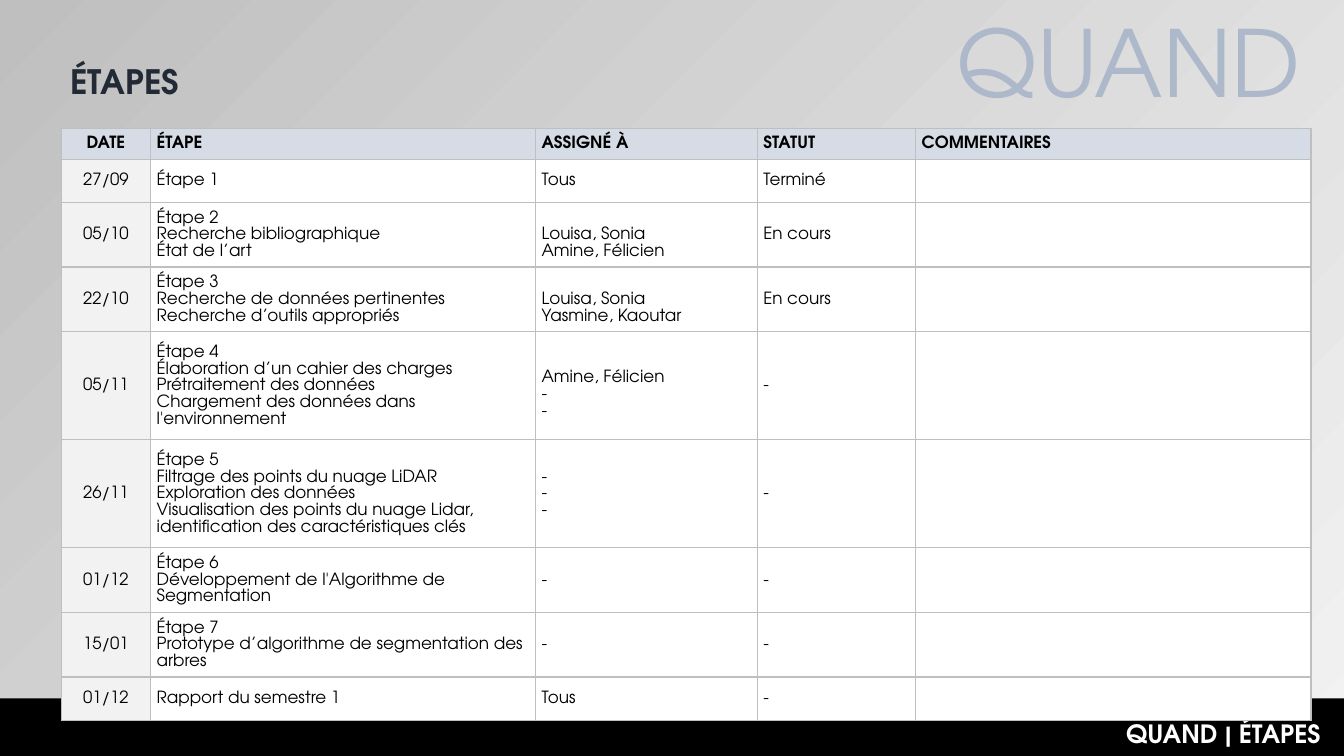
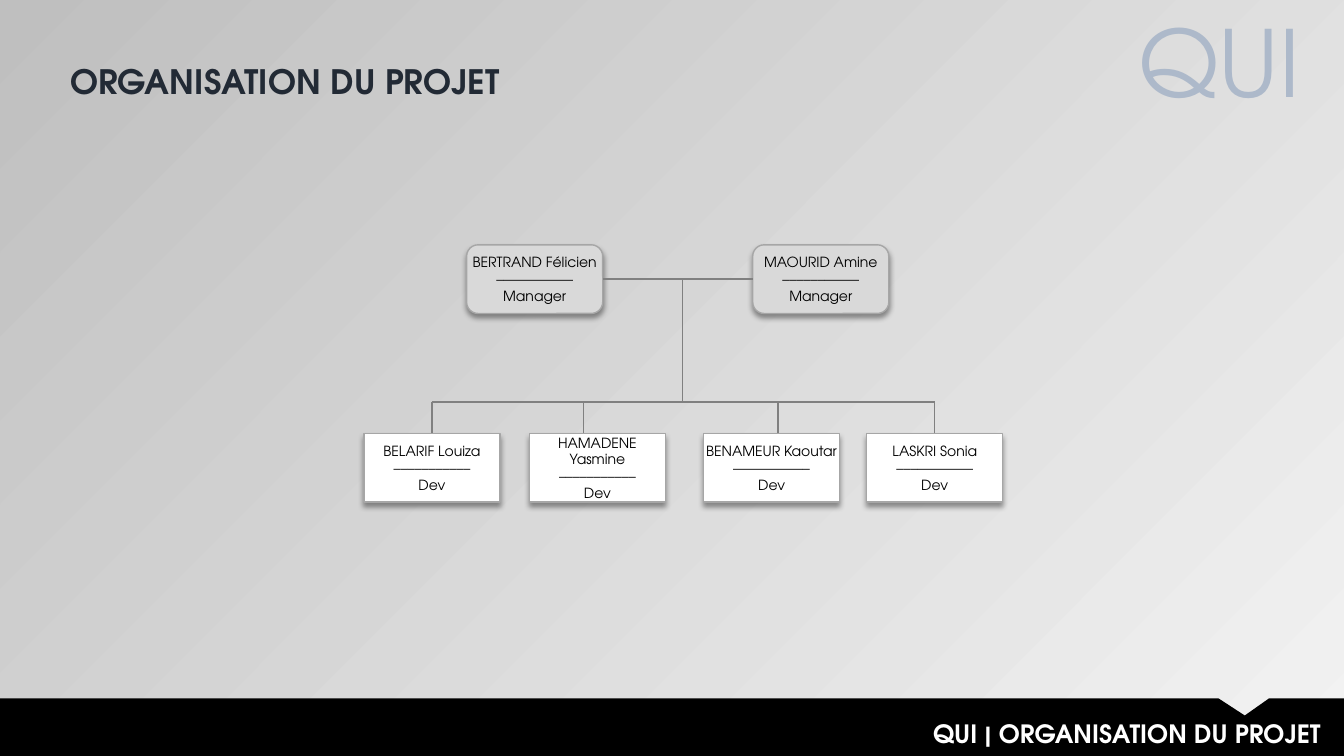
from dataclasses import dataclass

from lxml import etree
from pptx import Presentation
from pptx import util as u
from pptx.dml import color as c
from pptx.enum import shapes, text
from pptx.oxml import ns

LEFT, CENTER, RIGHT = text.PP_ALIGN.LEFT, text.PP_ALIGN.CENTER, text.PP_ALIGN.RIGHT


@dataclass(frozen=True)
class Theme:
    font: str = "TeX Gyre Adventor"
    # Colours
    light: str = "F2F2F2"
    grey: str = "BFBFBF"
    black: str = "000000"
    white: str = "FFFFFF"
    title: str = "222A35"
    keyword: str = "ADB9CA"
    header: str = "D6DCE5"
    manager: str = "D9D9D9"
    outline: str = "A6A6A6"
    link: str = "808080"
    # Type sizes and line spacing in points
    keyword_size: int = 66
    title_size: int = 24
    footer_size: int = 18
    table_size: int = 12
    box_size: int = 10
    table_spacing: int = 12


def rgb(value):
    return c.RGBColor.from_string(value)


def set_all(target, formats):
    for name, value in formats.items():
        setattr(target, name, value)


def add_xml(parent, tag, **attributes):
    return etree.SubElement(parent, ns.qn(tag), attributes)


class Deck:
    def __init__(self, theme):
        self.theme = theme
        self.presentation = Presentation()
        set_all(self.presentation, {"slide_width": u.Cm(33.87), "slide_height": u.Cm(19.05)})
        self.slide = None

    # Slide frame: background, band, footer, keyword and title
    def add_slide(self, keyword, title, keyword_width):
        theme = self.theme
        self.slide = self.presentation.slides.add_slide(self.presentation.slide_layouts[6])
        fill = self.slide.background.fill
        fill.gradient()
        fill.gradient_angle = 135
        for stop, value in zip(fill.gradient_stops, (theme.light, theme.grey)):
            stop.color.rgb = rgb(value)
        self.add_band()
        self.add_text(f"{keyword} | {title}", (10.52, 17.98, 23.01, 1.02),
                      theme.footer_size, theme.white, RIGHT, True)
        self.add_text(keyword, (33.02 - keyword_width, 0, keyword_width, 3.07),
                      theme.keyword_size, theme.keyword, RIGHT)
        self.add_text(title, (1.52, 1.4, 22.61, 1.27), theme.title_size, theme.title, LEFT, True)

    def add_band(self):
        outline = [(30.71, 17.6), (31.37, 18.03), (31.98, 17.6),
                   (33.87, 17.6), (33.87, 19.05), (0, 19.05)]
        builder = self.slide.shapes.build_freeform(0, u.Cm(17.6))
        builder.add_line_segments([(u.Cm(x), u.Cm(y)) for x, y in outline], close=True)
        band = builder.convert_to_shape()
        band.shadow.inherit = False
        self.paint(band, self.theme.black)
        band.line.fill.background()

    def paint(self, target, value):
        target.fill.solid()
        target.fill.fore_color.rgb = rgb(value)

    def fill_text(self, frame, lines, size, color, align, bold=False, spacing=None):
        for index, line in enumerate(lines):
            paragraph = frame.add_paragraph() if index else frame.paragraphs[0]
            set_all(paragraph, {"alignment": align, "line_spacing": spacing})
            run = paragraph.add_run()
            run.text = line
            set_all(run.font, {"name": self.theme.font, "size": u.Pt(size), "bold": bold})
            run.font.color.rgb = rgb(color)

    def add_text(self, content, place, size, color, align, bold=False):
        frame = self.slide.shapes.add_textbox(*map(u.Cm, place)).text_frame
        set_all(frame, {"word_wrap": True, "auto_size": text.MSO_AUTO_SIZE.SHAPE_TO_FIT_TEXT})
        self.fill_text(frame, [content], size, color, align, bold)

    # Table
    def add_table(self, left, top, widths, heights, rows):
        theme = self.theme
        table = self.slide.shapes.add_table(
            len(rows), len(widths), u.Cm(left), u.Cm(top),
            u.Cm(sum(widths)), u.Cm(sum(heights))).table
        set_all(table, {"first_row": False, "horz_banding": False})
        for column, width in zip(table.columns, widths):
            column.width = u.Cm(width)
        for row, height in zip(table.rows, heights):
            row.height = u.Cm(height)
        for row_index, row in enumerate(rows):
            for column_index, content in enumerate(row):
                is_header, is_date = row_index == 0, column_index == 0
                fill = theme.header if is_header else theme.light if is_date else theme.white
                self.fill_cell(table.cell(row_index, column_index), content, fill,
                               CENTER if is_date else LEFT, is_header)

    def fill_cell(self, cell, content, fill, align, bold):
        theme = self.theme
        # A leading line break lowers the text by one line through the top margin
        lowered = content.startswith("\n")
        set_all(cell, {
            "vertical_anchor": text.MSO_ANCHOR.MIDDLE,
            "margin_left": u.Cm(0.15), "margin_right": u.Cm(0.15),
            "margin_top": u.Pt(theme.table_spacing) if lowered else 0, "margin_bottom": 0})
        properties = cell._tc.get_or_add_tcPr()
        for side in "LRTB":
            border = add_xml(properties, f"a:ln{side}", w=str(u.Pt(1)))
            add_xml(add_xml(border, "a:solidFill"), "a:srgbClr", val=theme.grey)
        self.paint(cell, fill)
        if content:
            self.fill_text(cell.text_frame, content.strip("\n").split("\n"), theme.table_size,
                           theme.black, align, bold, u.Pt(theme.table_spacing))

    # Organisation chart
    def add_box(self, kind, fill, left, top, width, height, lines):
        theme = self.theme
        box = self.slide.shapes.add_shape(kind, *map(u.Cm, (left, top, width, height)))
        self.paint(box, fill)
        box.line.color.rgb = rgb(theme.outline)
        box.line.width = u.Pt(1)
        box.shadow.inherit = False
        effects = box._element.spPr.find(ns.qn("a:effectLst"))
        shadow = add_xml(effects, "a:outerShdw", blurRad=str(u.Pt(4)), dist=str(u.Pt(3)),
                         dir="5400000", algn="t", rotWithShape="0")
        add_xml(add_xml(shadow, "a:srgbClr", val=theme.black), "a:alpha", val="40000")
        frame = box.text_frame
        set_all(frame, {"word_wrap": True, "vertical_anchor": text.MSO_ANCHOR.MIDDLE})
        set_all(frame, {f"margin_{side}": u.Cm(0.05)
                        for side in ("left", "top", "right", "bottom")})
        self.fill_text(frame, lines, theme.box_size, theme.black, CENTER)
        return box

    def add_line(self, x1, y1, x2, y2, begin=None, end=None):
        line = self.slide.shapes.add_connector(
            shapes.MSO_CONNECTOR.STRAIGHT, *map(u.Cm, (x1, y1, x2, y2)))
        line.line.color.rgb = rgb(self.theme.link)
        line.line.width = u.Pt(1)
        add_xml(line._element.spPr, "a:effectLst")
        if begin:
            line.begin_connect(*begin)
        if end:
            line.end_connect(*end)


STEPS = [
    ("DATE", "ÉTAPE", "ASSIGNÉ À", "STATUT", "COMMENTAIRES"),
    ("27/09", "Étape 1", "Tous", "Terminé", ""),
    ("05/10", "Étape 2\nRecherche bibliographique\nÉtat de l’art",
     "\nLouisa, Sonia\nAmine, Félicien", "En cours", ""),
    ("22/10", "Étape 3\nRecherche de données pertinentes\nRecherche d’outils appropriés",
     "\nLouisa, Sonia\nYasmine, Kaoutar", "En cours", ""),
    ("05/11", "Étape 4\nÉlaboration d’un cahier des charges\nPrétraitement des données\n"
     "Chargement des données dans l'environnement", "\nAmine, Félicien\n-\n-", "-", ""),
    ("26/11", "Étape 5\nFiltrage des points du nuage LiDAR\nExploration des données\n"
     "Visualisation des points du nuage Lidar, identification des caractéristiques clés",
     "-\n-\n-", "-", ""),
    ("01/12", "Étape 6\nDéveloppement de l'Algorithme de Segmentation", "-", "-", ""),
    ("15/01", "Étape 7\nPrototype d’algorithme de segmentation des arbres", "-", "-", ""),
    ("01/12", "Rapport du semestre 1", "Tous", "-", ""),
]
HEADER_ROW, SHORT_ROW, MEDIUM_ROW, TALL_ROW = 0.78, 1.09, 1.63, 2.72
ROW_HEIGHTS = [HEADER_ROW, SHORT_ROW, MEDIUM_ROW, MEDIUM_ROW, TALL_ROW, TALL_ROW,
               MEDIUM_ROW, MEDIUM_ROW, SHORT_ROW]

BOX_WIDTH, BOX_HEIGHT = 3.43, 1.73
MANAGER_TOP, DEV_TOP, BAR_Y, STEM_X = 6.17, 10.92, 10.13, 17.2
MANAGERS = [("BERTRAND Félicien", 11.76), ("MAOURID Amine", 18.97)]
# Name, left edge and, where it is off centre, the x of the line above
DEVS = [("BELARIF Louiza", 9.17, None), ("HAMADENE Yasmine", 13.34, 14.71),
        ("BENAMEUR Kaoutar", 17.73, 19.61), ("LASKRI Sonia", 21.84, None)]


def build_steps(deck):
    deck.add_slide("QUAND", "ÉTAPES", 9.93)
    deck.add_table(1.54, 3.23, [2.26, 9.7, 5.59, 3.99, 9.96], ROW_HEIGHTS, STEPS)


def build_organisation(deck):
    deck.add_slide("QUI", "ORGANISATION DU PROJET", 14.25)
    rule = "–" * 11

    # Managers and the line between them
    first, second = [
        deck.add_box(shapes.MSO_SHAPE.FLOWCHART_ALTERNATE_PROCESS, deck.theme.manager, left,
                     MANAGER_TOP, BOX_WIDTH, BOX_HEIGHT, [name, rule, "Manager"])
        for name, left in MANAGERS]
    middle = MANAGER_TOP + BOX_HEIGHT / 2
    deck.add_line(MANAGERS[0][1] + BOX_WIDTH, middle, MANAGERS[1][1], middle,
                  (first, 3), (second, 1))

    # Stem and bar
    deck.add_line(STEM_X, middle, STEM_X, BAR_Y)
    deck.add_line(DEVS[0][1] + BOX_WIDTH / 2, BAR_Y, DEVS[-1][1] + BOX_WIDTH / 2, BAR_Y)

    # Developers, each hung from the bar
    for name, left, line_x in DEVS:
        box = deck.add_box(shapes.MSO_SHAPE.RECTANGLE, deck.theme.white, left, DEV_TOP,
                           BOX_WIDTH, BOX_HEIGHT, [name, rule, "Dev"])
        x = line_x or left + BOX_WIDTH / 2
        deck.add_line(x, BAR_Y, x, DEV_TOP, end=None if line_x else (box, 0))


def main():
    deck = Deck(Theme())
    build_steps(deck)
    build_organisation(deck)
    deck.presentation.save("out.pptx")


if __name__ == "__main__":
    main()
